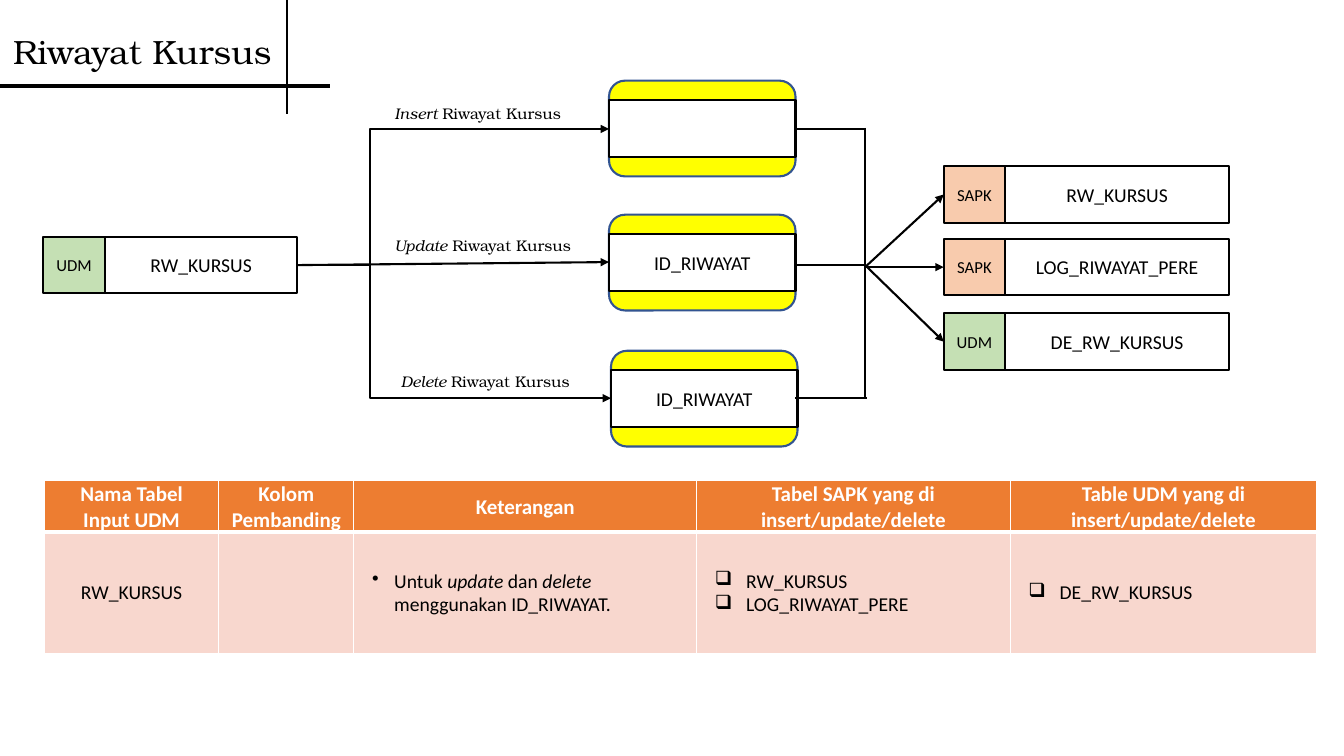
"""Build the Riwayat Kursus flow slide with its table of affected tables."""
from lxml import etree
from pptx import Presentation
from pptx.dml.color import RGBColor
from pptx.enum.shapes import MSO_CONNECTOR, MSO_SHAPE
from pptx.enum.text import MSO_ANCHOR, MSO_AUTO_SIZE, PP_ALIGN
from pptx.oxml.ns import qn
from pptx.util import Inches, Pt

RECT, ROUND = MSO_SHAPE.RECTANGLE, MSO_SHAPE.ROUNDED_RECTANGLE
STRAIGHT, ELBOW = MSO_CONNECTOR.STRAIGHT, MSO_CONNECTOR.ELBOW
LEFT, CENTER, MIDDLE = PP_ALIGN.LEFT, PP_ALIGN.CENTER, MSO_ANCHOR.MIDDLE
BLACK = RGBColor(0x00, 0x00, 0x00)
WHITE = RGBColor(0xFF, 0xFF, 0xFF)
YELLOW = RGBColor(0xFF, 0xFF, 0x00)
NAVY = RGBColor(0x32, 0x54, 0x91)
PEACH = RGBColor(0xF8, 0xCB, 0xAD)
GREEN = RGBColor(0xC5, 0xE0, 0xB4)
ORANGE = RGBColor(0xED, 0x7D, 0x31)
PINK = RGBColor(0xF8, 0xD7, 0xCE)
SERIF = "TeX Gyre Bonum"
TAG_FILL = {"SAPK": PEACH, "UDM": GREEN}

BOX_H, TAG_W, OP_W, OP_H = 0.56, 0.61, 1.85, 0.95
SOURCE_X, SOURCE_END, TRUNK, OP_X, BUS, TARGET_X = 0.43, 2.95, 3.67, 6.04, 8.58, 9.36
MID_Y = 2.63


def write(p, text, size, color=BLACK, name="Calibri", bold=False, align=CENTER):
    """Fill a paragraph; parts between asterisks are italic."""
    p.alignment = align
    for i, part in enumerate(text.split("*")):
        if part:
            r = p.add_run()
            r.text = part
            fmt = {"size": Pt(size), "name": name, "bold": bold, "italic": i % 2 == 1}
            for key, value in fmt.items():
                setattr(r.font, key, value)
            r.font.color.rgb = color


def box(kind, x, y, w, h, fill, line=BLACK, text="", size=14):
    """Add an outlined shape with centred text."""
    sp = s.shapes.add_shape(kind, Inches(x), Inches(y), Inches(w), Inches(h))
    sp.shadow.inherit = False
    sp.fill.solid()
    sp.fill.fore_color.rgb = fill
    sp.line.color.rgb = line
    sp.line.width = Pt(1.5)
    sp.text_frame.vertical_anchor = MIDDLE
    write(sp.text_frame.paragraphs[0], text, size)


prs = Presentation()
prs.slide_width, prs.slide_height = Inches(13.33), Inches(7.5)
s = prs.slides.add_slide(prs.slide_layouts[5])

title = s.shapes.title
frame = {"left": 0.03, "top": 0.26, "width": 2.81, "height": 0.5}
for key, value in frame.items():
    setattr(title, key, Inches(value))
tf = title.text_frame
tf.word_wrap, tf.auto_size, tf.vertical_anchor = False, MSO_AUTO_SIZE.NONE, MIDDLE
write(tf.paragraphs[0], "Riwayat Kursus", 24, name=SERIF, align=LEFT)

operations = [
    ("Insert", "", OP_X, 0.8, 3.8, 0.98, 1.88),
    ("Update", "ID_RIWAYAT", OP_X, 2.13, 3.8, 2.29, 1.98),
    ("Delete", "ID_RIWAYAT", OP_X + 0.02, 3.48, 3.86, 3.64, 1.91),
]
for verb, key_column, x, y, label_x, label_y, label_w in operations:
    box(ROUND, x, y, OP_W, OP_H, YELLOW, NAVY)
    box(RECT, x, y + (OP_H - BOX_H) / 2, OP_W, BOX_H, WHITE, text=key_column)
    label = s.shapes.add_textbox(Inches(label_x), Inches(label_y), Inches(label_w), Inches(0.29))
    label.text_frame.word_wrap = False
    write(label.text_frame.paragraphs[0], f"*{verb} *Riwayat Kursus", 11, name=SERIF)

databases = [
    ("UDM", "RW_KURSUS", SOURCE_X, 2.35, SOURCE_END),
    ("SAPK", "RW_KURSUS", TARGET_X, 1.65, 12.19),
    ("SAPK", "LOG_RIWAYAT_PERE", TARGET_X, 2.37, 12.19),
    ("UDM", "DE_RW_KURSUS", TARGET_X, 3.11, 12.19),
]
for tag, table_name, x, y, right in databases:
    box(RECT, x + TAG_W, y, right - x - TAG_W, BOX_H, WHITE, text=table_name)
    box(RECT, x, y, TAG_W, BOX_H, TAG_FILL[tag], text=tag, size=12)

connectors = [
    (STRAIGHT, SOURCE_END, MID_Y, OP_X, 2.6, 1.5, True),
    (ELBOW, SOURCE_END, MID_Y, OP_X + 0.02, 3.95, 1.5, True),
    (ELBOW, SOURCE_END, MID_Y, OP_X, 1.28, 1.5, True),
    (STRAIGHT, OP_X + OP_W, 1.28, BUS, 1.28, 1.5, False),
    (STRAIGHT, OP_X + OP_W, MID_Y, BUS, MID_Y, 1.5, False),
    (STRAIGHT, OP_X + OP_W, 3.95, BUS + 0.02, 3.95, 1.5, False),
    (STRAIGHT, BUS, 1.27, BUS, 3.96, 1.5, False),
    (STRAIGHT, BUS, 2.65, TARGET_X, 1.93, 1.5, True),
    (STRAIGHT, BUS, 2.65, TARGET_X, 2.65, 1.5, True),
    (STRAIGHT, BUS, MID_Y, TARGET_X, 3.39, 1.5, True),
    (STRAIGHT, 0, 0.85, 3.27, 0.85, 3, False),
    (STRAIGHT, 2.85, 0, 2.85, 1.13, 1.5, False),
]
for kind, x1, y1, x2, y2, width, arrow in connectors:
    c = s.shapes.add_connector(kind, Inches(x1), Inches(y1), Inches(x2), Inches(y2))
    c.line.color.rgb = BLACK
    c.line.width = Pt(width)
    spPr = c._element.spPr
    if arrow:
        etree.SubElement(spPr.find(qn("a:ln")), qn("a:tailEnd"), type="triangle")
    if kind == ELBOW:
        geom = spPr.find(qn("a:prstGeom"))
        for old in geom.findall(qn("a:avLst")):
            geom.remove(old)
        bend = round((TRUNK - x1) / (x2 - x1) * 100000)
        guides = etree.SubElement(geom, qn("a:avLst"))
        etree.SubElement(guides, qn("a:gd"), name="adj1", fmla=f"val {bend}")
    etree.SubElement(spPr, qn("a:effectLst"))

col_widths = [1.73, 1.34, 3.4, 3.11, 3.04]
row_heights = [0.46, 1.2]
rows = [
    [["Nama Tabel", "Input UDM"], ["Kolom Pembanding"], ["Keterangan"],
     ["Tabel SAPK yang di insert/update/delete"], ["Table UDM yang di insert/update/delete"]],
    [["RW_KURSUS"], [""], ["Untuk *update* dan *delete *menggunakan ID_RIWAYAT."],
     ["RW_KURSUS", "LOG_RIWAYAT_PERE"], ["DE_RW_KURSUS"]],
]
bullets = {2: ("•", 0.39, 0.22), 3: ("❑", 0.48, 0.31), 4: ("❑", 0.48, 0.31)}
row_formats = [
    {"size": 15, "color": WHITE, "bold": True},
    {"size": 14, "color": BLACK, "bold": False},
]
table = s.shapes.add_table(2, len(col_widths), Inches(0.44), Inches(4.77),
                           Inches(sum(col_widths)), Inches(sum(row_heights))).table
for col, width in zip(table.columns, col_widths):
    col.width = Inches(width)
for i, (height, texts) in enumerate(zip(row_heights, rows)):
    table.rows[i].height = Inches(height)
    for j, lines in enumerate(texts):
        cell = table.cell(i, j)
        cell.vertical_anchor = MIDDLE
        margins = {"left": 0.01, "right": 0.01, "top": 0.01, "bottom": 0}
        for side, value in margins.items():
            setattr(cell, f"margin_{side}", Inches(value))
        tcPr = cell._tc.get_or_add_tcPr()
        borders = {"lnL": 1, "lnR": 1, "lnT": 3 if i else 1, "lnB": 1 if i else 3}
        for edge, width in borders.items():
            ln = etree.SubElement(tcPr, qn(f"a:{edge}"), w=str(Pt(width)))
            solid = etree.SubElement(ln, qn("a:solidFill"))
            etree.SubElement(solid, qn("a:srgbClr"), val=str(WHITE))
        cell.fill.solid()
        cell.fill.fore_color.rgb = PINK if i else ORANGE
        tf = cell.text_frame
        bulleted = i == 1 and j in bullets
        for n, text in enumerate(lines):
            p = tf.add_paragraph() if n else tf.paragraphs[0]
            if bulleted:
                char, indent, hang = bullets[j]
                pPr = p._p.get_or_add_pPr()
                pPr.set("marL", str(Inches(indent)))
                pPr.set("indent", str(-Inches(hang)))
                etree.SubElement(pPr, qn("a:buChar"), char=char)
            write(p, text, align=LEFT if bulleted else CENTER, **row_formats[i])

prs.save("out.pptx")
